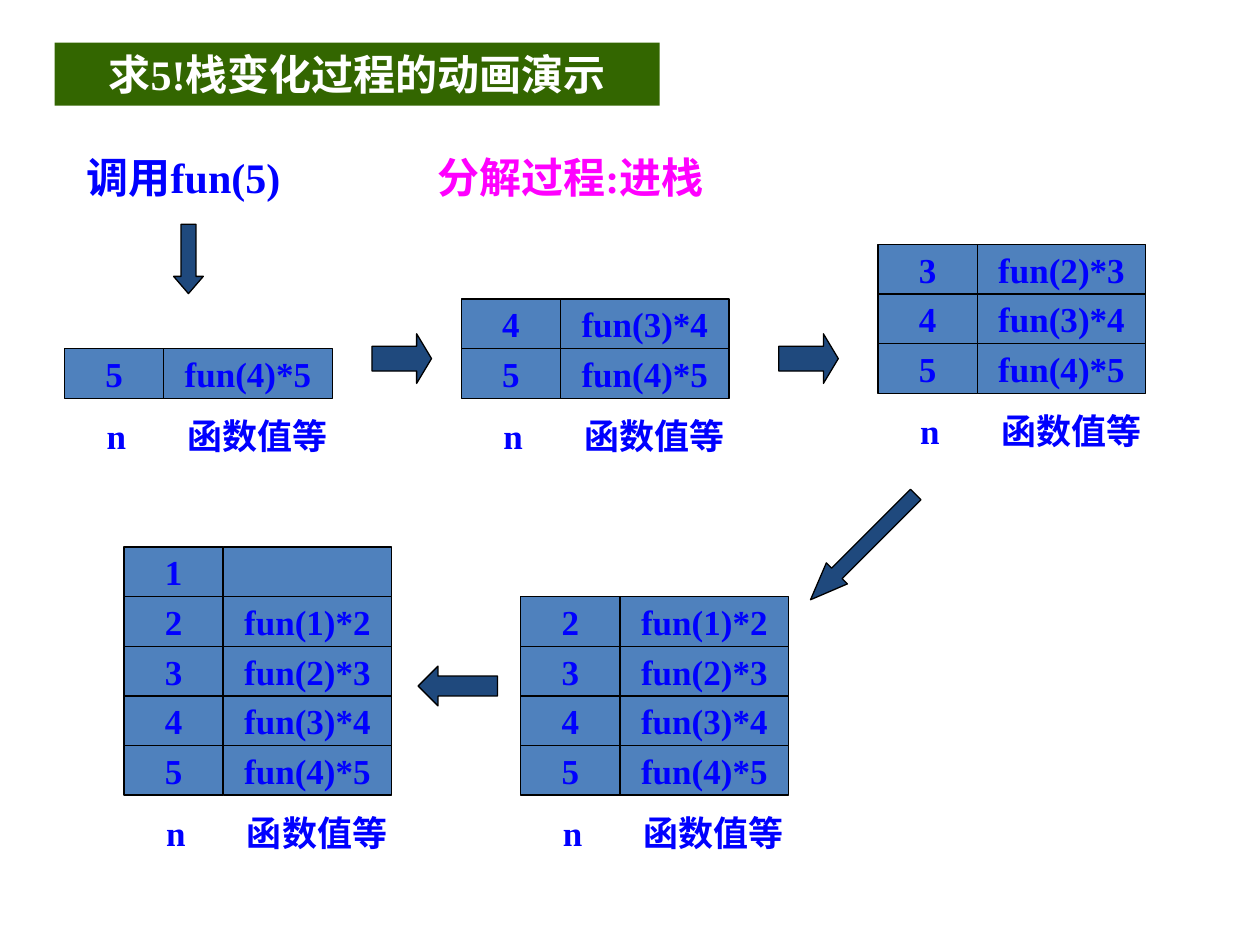
import pptx
import pptx.dml.color
import pptx.enum.shapes
import pptx.enum.text
import pptx.oxml.ns
import pptx.util
import lxml.etree

Cm = pptx.util.Cm
Shape = pptx.enum.shapes.MSO_SHAPE
Anchor = pptx.enum.text.MSO_ANCHOR
Align = pptx.enum.text.PP_ALIGN
AutoSize = pptx.enum.text.MSO_AUTO_SIZE

COLORS = {
    "text": "0000FF",
    "heading": "FF00FF",
    "title": "FFFFFF",
    "title_fill": "336600",
    "cell": "4F81BD",
    "arrow": "1F497D",
    "line": "000000",
}
CELL_HEIGHT = 1.0
NUMBER_WIDTH = 2.0
VALUE_WIDTH = 3.4
LABEL_TAB = 1.63


class StackSlide:
    font_format = {"name": "Times New Roman", "bold": True}

    def __init__(self, page):
        self.page = page

    def color(self, name):
        return pptx.dml.color.RGBColor.from_string(COLORS[name])

    def fill_text(self, shape, text, size, color="text", align=Align.LEFT, tab=None, **frame_format):
        frame = shape.text_frame
        for name, value in frame_format.items():
            setattr(frame, name, value)
        para = frame.paragraphs[0]
        para.alignment = align
        para.space_before = pptx.util.Pt(0)
        if tab:
            properties = para._p.get_or_add_pPr()
            tabs = lxml.etree.SubElement(properties, pptx.oxml.ns.qn("a:tabLst"))
            lxml.etree.SubElement(tabs, pptx.oxml.ns.qn("a:tab"), pos=str(Cm(tab)), algn="l")
        span = para.add_run()
        span.text = text
        for name, value in {**self.font_format, "size": pptx.util.Pt(size)}.items():
            setattr(span.font, name, value)
        span.font.color.rgb = self.color(color)

    def title(self, text, left, top, width, height):
        box = self.page.shapes.title
        position = {"left": left, "top": top, "width": width, "height": height}
        for name, value in position.items():
            setattr(box, name, Cm(value))
        box.fill.solid()
        box.fill.fore_color.rgb = self.color("title_fill")
        self.fill_text(box, text, 24, "title", Align.CENTER, word_wrap=True,
                       auto_size=AutoSize.NONE, vertical_anchor=Anchor.TOP)

    def text(self, shapes, text, left, top, width, height, size, **style):
        box = shapes.add_textbox(Cm(left), Cm(top), Cm(width), Cm(height))
        self.fill_text(box, text, size, word_wrap=True,
                       auto_size=AutoSize.SHAPE_TO_FIT_TEXT, **style)

    def shape(self, shapes, kind, fill, left, top, width, height):
        shape = shapes.add_shape(kind, Cm(left), Cm(top), Cm(width), Cm(height))
        shape.shadow.inherit = False
        shape.fill.solid()
        shape.fill.fore_color.rgb = self.color(fill)
        shape.line.color.rgb = self.color("line")
        shape.line.width = pptx.util.Pt(0.75)
        return shape

    def cell(self, shapes, text, left, top, width):
        cell = self.shape(shapes, Shape.RECTANGLE, "cell", left, top, width, CELL_HEIGHT)
        if text:
            self.fill_text(cell, text, 20, align=Align.CENTER, word_wrap=False,
                           vertical_anchor=Anchor.MIDDLE)

    def arrow(self, shapes, kind, left, top, width, height, head, rotation=0):
        arrow = self.shape(shapes, kind, "arrow", left, top, width, height)
        arrow.adjustments[0] = 0.5
        arrow.adjustments[1] = head
        arrow.rotation = rotation

    def stack(self, left, bottom, smallest, arrow=None):
        shapes = self.page.shapes.add_group_shape().shapes
        for level, number in enumerate(range(5, smallest - 1, -1), start=1):
            top = bottom - level * CELL_HEIGHT
            value = f"fun({number - 1})*{number}" if number > 1 else ""
            self.cell(shapes, str(number), left, top, NUMBER_WIDTH)
            self.cell(shapes, value, left + NUMBER_WIDTH, top, VALUE_WIDTH)
        self.text(shapes, "n\t函数值等", left + 0.6, bottom + 0.2, 5.0, 1.1, 20, tab=LABEL_TAB)
        if arrow:
            self.arrow(shapes, *arrow)


def main():
    deck = pptx.Presentation()
    deck.slide_width, deck.slide_height = Cm(25.4), Cm(19.05)
    page = deck.slides.add_slide(deck.slide_layouts[5])
    slide = StackSlide(page)

    slide.title("求5!栈变化过程的动画演示", 1.1, 0.86, 12.2, 1.27)
    slide.text(page.shapes, "调用fun(5)", 1.5, 2.93, 5.0, 1.27, 24)
    slide.text(page.shapes, "分解过程:进栈", 7.3, 2.93, 8.4, 1.27, 24,
               color="heading", align=Align.CENTER)
    slide.arrow(page.shapes, Shape.DOWN_ARROW, 3.5, 4.52, 0.6, 1.4, 0.58)

    slide.stack(1.3, 8.03, 5)
    slide.stack(9.3, 8.03, 4, (Shape.RIGHT_ARROW, 7.5, 6.73, 1.2, 1.0, 0.3))
    slide.stack(17.7, 7.93, 3, (Shape.RIGHT_ARROW, 15.7, 6.73, 1.2, 1.0, 0.3))
    slide.stack(10.5, 16.03, 2, (Shape.DOWN_ARROW, 17.1, 9.53, 0.6, 3.0, 1.25, 45))
    slide.stack(2.5, 16.03, 1, (Shape.LEFT_ARROW, 8.43, 13.43, 1.6, 0.8, 0.5))

    deck.save("out.pptx")


if __name__ == "__main__":
    main()
